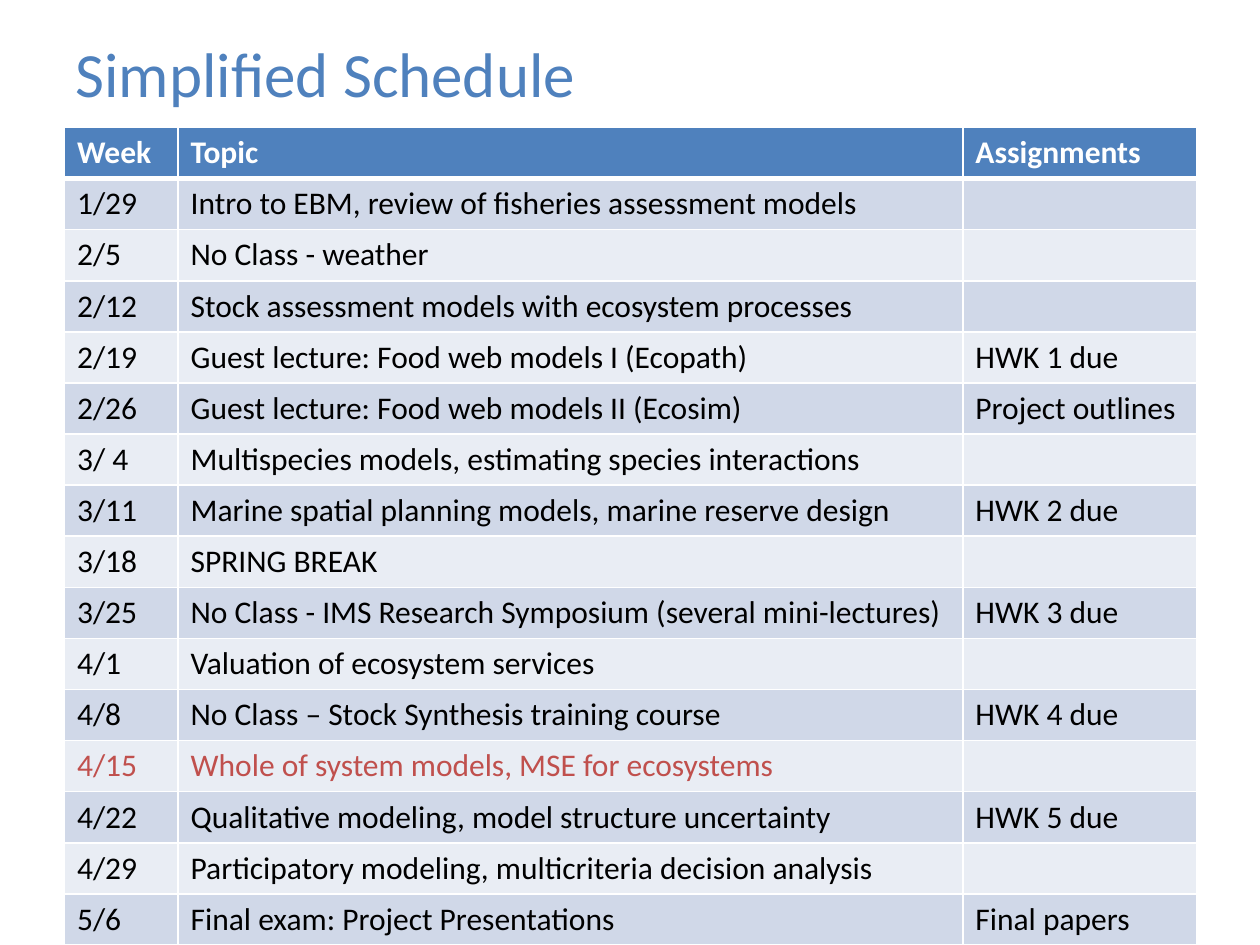
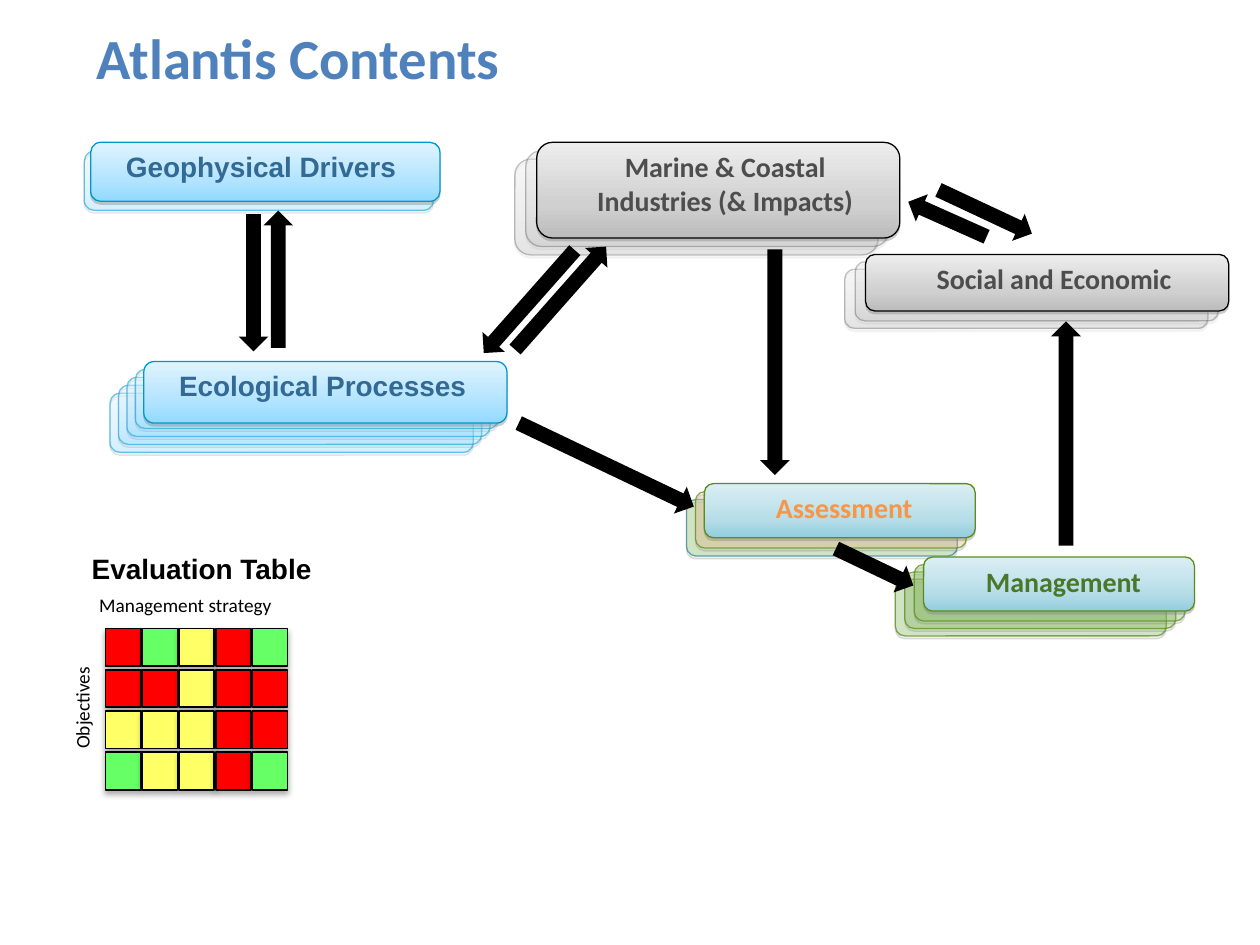
"""Build the course schedule slide and the Atlantis model overview slide."""
from dataclasses import dataclass

from lxml import etree
from pptx import Presentation
from pptx.dml.color import RGBColor
from pptx.enum.shapes import MSO_SHAPE
from pptx.enum.text import MSO_ANCHOR, PP_ALIGN
from pptx.oxml.ns import qn
from pptx.util import Cm, Pt

ROUNDED = MSO_SHAPE.ROUNDED_RECTANGLE
RECTANGLE = MSO_SHAPE.RECTANGLE
UP_ARROW = MSO_SHAPE.UP_ARROW
LEFT = PP_ALIGN.LEFT
CENTER = PP_ALIGN.CENTER
MIDDLE = MSO_ANCHOR.MIDDLE

TITLE_ONLY = 5
BLUE, RED, BLACK, WHITE = "4F81BD", "C0504D", "000000", "FFFFFF"
BANDS = ("E9EDF4", "D0D8E8")
GHOST_OPACITY = 31

COLUMN_WIDTHS = (2.29, 15.82, 4.72)
ROW_HEIGHT = 0.99
CURRENT_WEEK = "4/15"
SCHEDULE = [
    ("Week", "Topic", "Assignments"),
    ("1/29", "Intro to EBM, review of fisheries assessment models", ""),
    ("2/5", "No Class - weather", ""),
    ("2/12", "Stock assessment models with ecosystem processes", ""),
    ("2/19", "Guest lecture: Food web models I (Ecopath)", "HWK 1 due"),
    ("2/26", "Guest lecture: Food web models II (Ecosim)", "Project outlines"),
    ("3/ 4", "Multispecies models, estimating species interactions", ""),
    ("3/11", "Marine spatial planning models, marine reserve design", "HWK 2 due"),
    ("3/18", "SPRING BREAK", ""),
    ("3/25", "No Class - IMS Research Symposium (several mini-lectures)", "HWK 3 due"),
    ("4/1", "Valuation of ecosystem services", ""),
    ("4/8", "No Class – Stock Synthesis training course", "HWK 4 due"),
    ("4/15", "Whole of system models, MSE for ecosystems", ""),
    ("4/22", "Qualitative modeling, model structure uncertainty", "HWK 5 due"),
    ("4/29", "Participatory modeling, multicriteria decision analysis", ""),
    ("5/6", "Final exam: Project Presentations", "Final papers"),
]


@dataclass
class Theme:
    """Colours and lettering of one family of model components."""
    front: tuple
    line: str
    line_opacity: int
    ghost: tuple
    text: str
    font: str = "Calibri"
    align: PP_ALIGN = CENTER
    label_inset: float = 0.46


SKY = ("E0F4FF", "B2E3FF", "90DAFF")
GREY = ("EDEDED", "D0D0D0", "BCBCBC")
TEAL = ("DBEEF4", "B7DEE8", "93CDDD")
GREEN, SAND = ("8EC963",), ("FAC090",)
NATURE = Theme(SKY, "0098CC", 52, SKY, "326A94", "Arial", LEFT)
HUMAN = Theme(GREY, BLACK, 21, GREY, "4D4D4D")
ASSESSMENT = Theme(TEAL, "5A8E18", 72, SAND, "F79646", label_inset=0.18)
MANAGEMENT = Theme(TEAL, "5A8E18", 72, GREEN, "4A7729", label_inset=0.18)

# Each stack: label, theme, front box, ghost height, ghost count, step left and down.
STACKS = [
    ("Ecological Processes", NATURE, (2.9, 7.29, 7.32, 1.24), 1.19, 4, (0.17, 0.16)),
    ("Geophysical Drivers", NATURE, (1.83, 2.87, 7.04, 1.19), 1.19, 1, (0.13, 0.18)),
    ("Marine & Coastal Industries (& Impacts)", HUMAN, (10.82, 2.87, 7.32, 1.93),
     1.93, 2, (0.22, 0.17)),
    ("Social and Economic", HUMAN, (17.45, 5.13, 7.32, 1.14), 1.19, 2, (0.21, 0.15)),
    ("Assessment", ASSESSMENT, (14.2, 9.75, 5.46, 1.09), 1.14, 2, (0.18, 0.16)),
    ("Management", MANAGEMENT, (18.62, 11.23, 5.46, 1.09), 1.14, 3, (0.19, 0.15)),
]

# Each arrow: centre x, centre y, length, clockwise angle from straight up.
ARROWS = [
    (10.67, 6.08, 2.77, 221.5),
    (11.3, 6.01, 2.77, 41.5),
    (5.11, 5.7, 2.77, 180),
    (5.61, 5.63, 2.77, 0),
    (12.22, 9.37, 3.91, 115.5),
    (15.62, 7.3, 4.55, 180),
    (17.63, 11.43, 1.73, 115.5),
    (21.49, 8.74, 4.52, 0),
    (19.1, 4.42, 1.73, 294),
    (19.86, 4.27, 2.08, 115.1),
]
ARROW_WIDTH = 0.6

SCORE_COLORS = {"R": "FF0000", "G": "66FF66", "Y": "FFFF66"}
SCORES = ("RGYRG", "RRYRR", "YYYRR", "GYYRG")


def rgb(color):
    """Turn a hex string into a colour."""
    return RGBColor.from_string(color)


def lengths(*values):
    """Turn centimetres into slide lengths."""
    return [Cm(value) for value in values]


def add_node(parent, tag, **attributes):
    """Append a drawing element with the given attributes."""
    texts = {name: str(value) for name, value in attributes.items()}
    return etree.SubElement(parent, qn(tag), texts)


def format_text(text_frame, size, color, font="Calibri", bold=False, align=LEFT):
    """Format every run and paragraph of a text frame."""
    for paragraph in text_frame.paragraphs:
        paragraph.alignment = align
        for run in paragraph.runs:
            run.font.name = font
            run.font.size = Pt(size)
            run.font.bold = bold
            run.font.color.rgb = rgb(color)


def add_titled_slide(presentation, title, box, size, bold=False):
    """Add a slide with a blue left-aligned title in the given box."""
    slide = presentation.slides.add_slide(presentation.slide_layouts[TITLE_ONLY])
    shape = slide.shapes.title
    shape.left, shape.top, shape.width, shape.height = lengths(*box)
    shape.text_frame.text = title
    shape.text_frame.vertical_anchor = MIDDLE
    format_text(shape.text_frame, size, BLUE, bold=bold)
    return slide


def add_label(slide, text, box, size, color, **style):
    """Add a wrapping text box."""
    shape = slide.shapes.add_textbox(*lengths(*box))
    shape.text_frame.word_wrap = True
    shape.text_frame.text = text
    format_text(shape.text_frame, size, color, **style)
    return shape


def set_opacity(element, percent):
    """Make every colour inside an element partly transparent."""
    for color in element.iter(qn("a:srgbClr")):
        add_node(color, "a:alpha", val=percent * 1000)


def set_shadow(shape, color, opacity, blur, distance):
    """Give a shape a shadow that falls straight down."""
    shape.shadow.inherit = False
    effects = shape._element.spPr.find(qn("a:effectLst"))
    shadow = add_node(effects, "a:outerShdw", blurRad=Pt(blur), dist=Pt(distance),
                      dir=5400000, algn="ctr", rotWithShape=0)
    set_color = add_node(shadow, "a:srgbClr", val=color)
    add_node(set_color, "a:alpha", val=opacity * 1000)


def set_fill(shape, colors):
    """Fill a shape with one colour or with a three-stop vertical gradient."""
    if len(colors) == 1:
        shape.fill.solid()
        shape.fill.fore_color.rgb = rgb(colors[0])
        return
    shape.fill.gradient()
    shape.fill.gradient_angle = 270
    stops = shape._element.spPr.find(qn("a:gradFill")).find(qn("a:gsLst"))
    for stop in list(stops):
        stops.remove(stop)
    for position, color in zip((0, 65, 100), colors):
        stop = add_node(stops, "a:gs", pos=position * 1000)
        add_node(stop, "a:srgbClr", val=color)


def add_block(slide, kind, box, colors, line, line_width):
    """Add a filled and outlined shape."""
    shape = slide.shapes.add_shape(kind, *lengths(*box))
    set_fill(shape, colors)
    shape.line.color.rgb = rgb(line)
    shape.line.width = Pt(line_width)
    return shape


def add_card(slide, box, colors, line):
    """Add a rounded card with a thin grey shadow."""
    card = add_block(slide, ROUNDED, box, colors, line, 0.75)
    return card


def add_stack(slide, text, theme, box, ghost_height, ghosts, step):
    """Add a labelled card in front of a fan of translucent cards."""
    left, top, width, height = box
    for depth in range(ghosts, 0, -1):
        ghost_box = (left - depth * step[0], top + depth * step[1], width, ghost_height)
        last_assessment = theme is ASSESSMENT and depth == ghosts
        colors, line = (GREEN, "31859C") if last_assessment else (theme.ghost, theme.line)
        ghost = add_card(slide, ghost_box, colors, line)
        set_opacity(ghost._element.spPr, GHOST_OPACITY)
        for alpha in ghost._element.spPr.find(qn("a:ln")).iter(qn("a:alpha")):
            alpha.set("val", str(theme.line_opacity * 1000))
        set_shadow(ghost, "808080", 38, 0, 1.6)
    front = add_card(slide, box, theme.front, theme.line)
    set_shadow(front, "808080", 38, 0, 1.6)
    inset = theme.label_inset
    label_width = width - inset - 0.18 if inset > 0.2 else width - inset
    add_label(slide, text, (left + inset, top + 0.02, label_width, height - 0.1), 16,
              theme.text, font=theme.font, bold=True, align=theme.align)


def add_arrow(slide, center_x, center_y, length, angle):
    """Add a black block arrow around its centre."""
    box = (center_x - ARROW_WIDTH / 2, center_y - length / 2, ARROW_WIDTH, length)
    arrow = slide.shapes.add_shape(UP_ARROW, *lengths(*box))
    arrow.rotation = angle
    arrow.shadow.inherit = False
    set_fill(arrow, (BLACK,))
    arrow.line.fill.background()


def add_evaluation_table(slide):
    """Add the traffic-light grid with its heading and axis labels."""
    for row, scores in enumerate(SCORES):
        for column, score in enumerate(scores):
            box = (2.13 + column * 0.74, 12.67 + row * 0.83, 0.71, 0.76)
            cell = add_block(slide, RECTANGLE, box, (SCORE_COLORS[score],), BLACK, 1)
            set_shadow(cell, BLACK, 32, 3.5, 2.2)
    add_label(slide, "Evaluation Table", (1.6, 11, 5.23, 0.94), 16, BLACK,
              font="Arial", bold=True)
    add_label(slide, "Management strategy", (1.75, 11.84, 4.55, 0.71), 11, BLACK)
    objectives = add_label(slide, "Objectives", (0.46, 13.77, 2.41, 0.74), 11, BLACK)
    objectives.rotation = 270


def set_borders(cell, bottom_width):
    """Give a table cell white borders."""
    properties = cell._tc.get_or_add_tcPr()
    for side, width in (("L", 1), ("R", 1), ("T", 1), ("B", bottom_width)):
        line = add_node(properties, f"a:ln{side}", w=Pt(width))
        add_node(add_node(line, "a:solidFill"), "a:srgbClr", val=WHITE)


def add_schedule(slide):
    """Add the banded schedule table, with the current week in red."""
    box = (1.3, 2.57, sum(COLUMN_WIDTHS), ROW_HEIGHT * len(SCHEDULE))
    frame = slide.shapes.add_table(len(SCHEDULE), len(COLUMN_WIDTHS), *lengths(*box))
    table = frame.table
    for column, width in zip(table.columns, COLUMN_WIDTHS):
        column.width = Cm(width)
    for index, entries in enumerate(SCHEDULE):
        header = index == 0
        fill = BLUE if header else BANDS[index % 2]
        color = WHITE if header else RED if entries[0] == CURRENT_WEEK else BLACK
        for cell, entry in zip(table.rows[index].cells, entries):
            cell.text_frame.text = entry
            format_text(cell.text_frame, 18, color, bold=header)
            set_borders(cell, 3 if header else 1)
            cell.fill.solid()
            cell.fill.fore_color.rgb = rgb(fill)


def main():
    """Build and save the presentation."""
    presentation = Presentation()
    presentation.slide_width, presentation.slide_height = lengths(25.4, 19.05)

    schedule = add_titled_slide(presentation, "Simplified Schedule",
                                (1.27, 0.51, 22.86, 1.9), 36)
    add_schedule(schedule)

    contents = add_titled_slide(presentation, "Atlantis Contents",
                                (1.7, 0.33, 22.83, 1.63), 32.4, bold=True)
    for stack in STACKS:
        add_stack(contents, *stack)
    for arrow in ARROWS:
        add_arrow(contents, *arrow)
    add_evaluation_table(contents)
    presentation.save("out.pptx")


if __name__ == "__main__":
    main()
